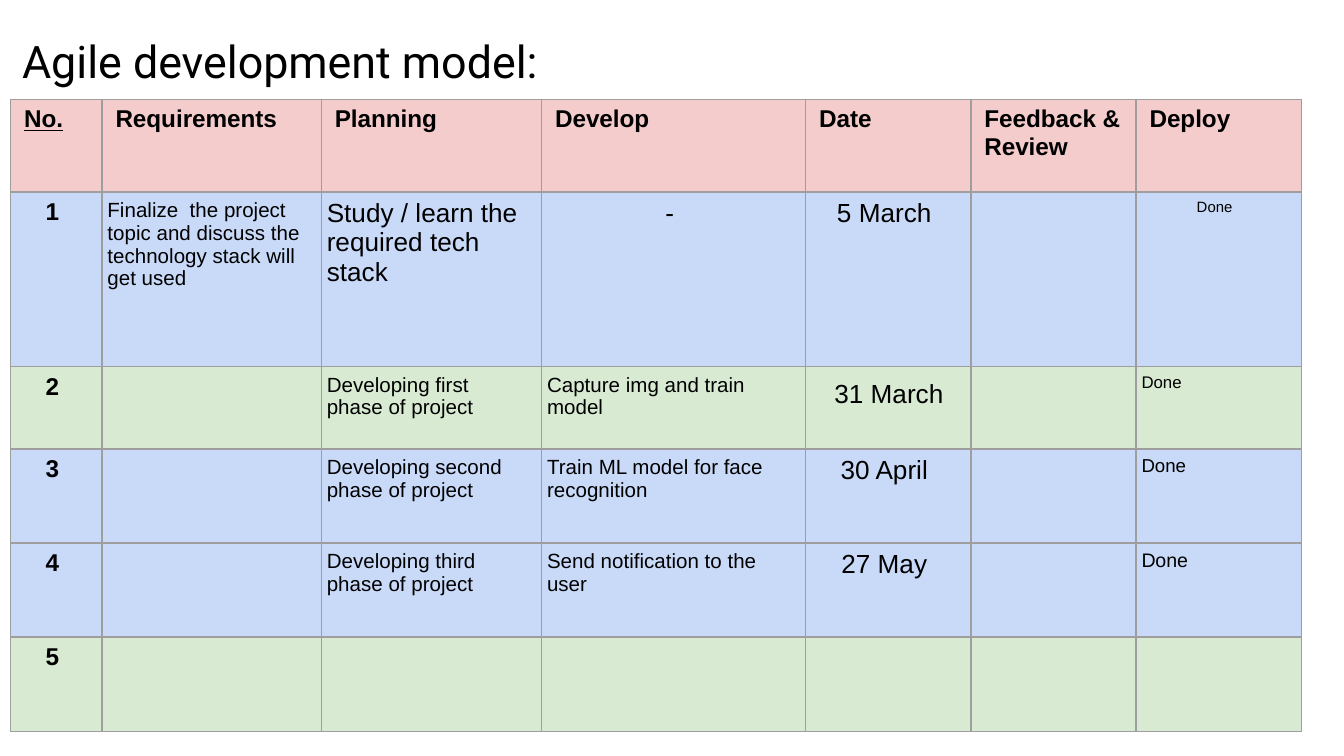
from pptx import Presentation
from pptx.dml.color import RGBColor
from pptx.enum.text import MSO_ANCHOR as Anchor, PP_ALIGN as Align
from pptx.oxml import parse_xml
from pptx.oxml.ns import nsdecls
from pptx.util import Pt

BLACK = RGBColor(0x00, 0x00, 0x00)
PINK = RGBColor(0xF4, 0xCC, 0xCC)
BLUE = RGBColor(0xC9, 0xDA, 0xF8)
GREEN = RGBColor(0xD9, 0xEA, 0xD3)
GRAY = RGBColor(0x9E, 0x9E, 0x9E)

COLUMN_WIDTHS = [49, 117.5, 118, 141.5, 88.5, 88.5, 88.5]
ROW_HEIGHTS = [49.7, 93.6, 44, 50.4, 50.4, 50.4]
NUMBER, DATE = 0, 4

HEADERS = ["No.", "Requirements", "Planning", "Develop", "Date",
           "Feedback & Review", "Deploy"]
PHASES = [
    (BLUE, ["1",
            "Finalize  the project topic and discuss the technology stack will get used",
            "Study / learn the required tech stack", "-", "5 March", "", "Done"]),
    (GREEN, ["2", "", "Developing first phase of project",
             "Capture img and train model", "31 March", "", "Done"]),
    (BLUE, ["3", "", "Developing second phase of project",
            "Train ML model for face recognition", "30 April", "", "Done"]),
    (BLUE, ["4", "", "Developing third phase of project",
            "Send notification to the user", "27 May", "", "Done"]),
    (GREEN, ["5", "", "", "", "", "", ""]),
]
# Cells that differ from the style of their column: (row, column)
SPECIAL_SIZES = {(1, 2): 14, (1, 3): 14, (1, 6): 8,
                 (2, 6): 9, (3, 6): 10, (4, 6): 10.5}
SPECIAL_CENTERED = {(1, 3), (1, 6)}
WIDE_LEAD = (2, DATE)


def add_run(paragraph, text, size, font="Arial", bold=False, underline=False):
    run = paragraph.add_run()
    run.text = text
    run.font.name = font
    run.font.size = Pt(size)
    run.font.bold = bold
    run.font.underline = underline
    run.font.color.rgb = BLACK


def add_title(slide, text):
    title = slide.shapes.title
    title.left, title.top, title.width, title.height = Pt(4.6), Pt(10.8), Pt(345), Pt(43)
    frame = title.text_frame
    frame.margin_left = frame.margin_right = Pt(7.2)
    frame.margin_top = frame.margin_bottom = Pt(7.2)
    frame.vertical_anchor = Anchor.TOP
    frame.word_wrap = True
    paragraph = frame.paragraphs[0]
    paragraph.alignment = Align.LEFT
    add_run(paragraph, text, 24, font="Roboto")


def set_borders(cell):
    properties = cell._tc.get_or_add_tcPr()
    for position, side in enumerate(("lnL", "lnR", "lnT", "lnB")):
        properties.insert(position, parse_xml(
            f'<a:{side} {nsdecls("a")} w="{Pt(0.75)}"><a:solidFill>'
            f'<a:srgbClr val="{GRAY}"/></a:solidFill></a:{side}>'))


def format_cell(cell, color, left_margin):
    cell.fill.solid()
    cell.fill.fore_color.rgb = color
    cell.margin_left, cell.margin_right = Pt(left_margin), Pt(7.2)
    cell.margin_top = cell.margin_bottom = Pt(3.6)
    cell.vertical_anchor = Anchor.TOP
    set_borders(cell)


def fill_header(table):
    for column, text in enumerate(HEADERS):
        cell = table.cell(0, column)
        format_cell(cell, PINK, 7.2)
        add_run(cell.text_frame.paragraphs[0], text, 13, bold=True,
                underline=column == NUMBER)


def fill_phase(table, row, color, texts):
    for column, text in enumerate(texts):
        cell = table.cell(row, column)
        format_cell(cell, color, 2.9)
        if not text:
            continue
        place = (row, column)
        paragraph = cell.text_frame.paragraphs[0]
        centered = column in (NUMBER, DATE) or place in SPECIAL_CENTERED
        paragraph.alignment = Align.CENTER if centered else Align.LEFT
        if place == WIDE_LEAD:
            add_run(paragraph, " ", 18, bold=True)
        column_size = {NUMBER: 13, DATE: 14}.get(column, 11)
        add_run(paragraph, text, SPECIAL_SIZES.get(place, column_size),
                bold=column == NUMBER)


def add_plan_table(slide):
    frame = slide.shapes.add_table(
        len(ROW_HEIGHTS), len(COLUMN_WIDTHS), Pt(5.7), Pt(53.2),
        Pt(sum(COLUMN_WIDTHS)), Pt(sum(ROW_HEIGHTS)))
    table = frame.table
    table.horz_banding = False
    for column, width in zip(table.columns, COLUMN_WIDTHS):
        column.width = Pt(width)
    for row, height in zip(table.rows, ROW_HEIGHTS):
        row.height = Pt(height)
    fill_header(table)
    for row, (color, texts) in enumerate(PHASES, start=1):
        fill_phase(table, row, color, texts)


def main():
    presentation = Presentation()
    presentation.slide_width, presentation.slide_height = Pt(720), Pt(405)
    slide = presentation.slides.add_slide(presentation.slide_layouts[5])
    # Development phases, one per row
    add_plan_table(slide)
    # Heading above the table
    add_title(slide, "Agile development model:")
    presentation.save("out.pptx")


if __name__ == "__main__":
    main()
